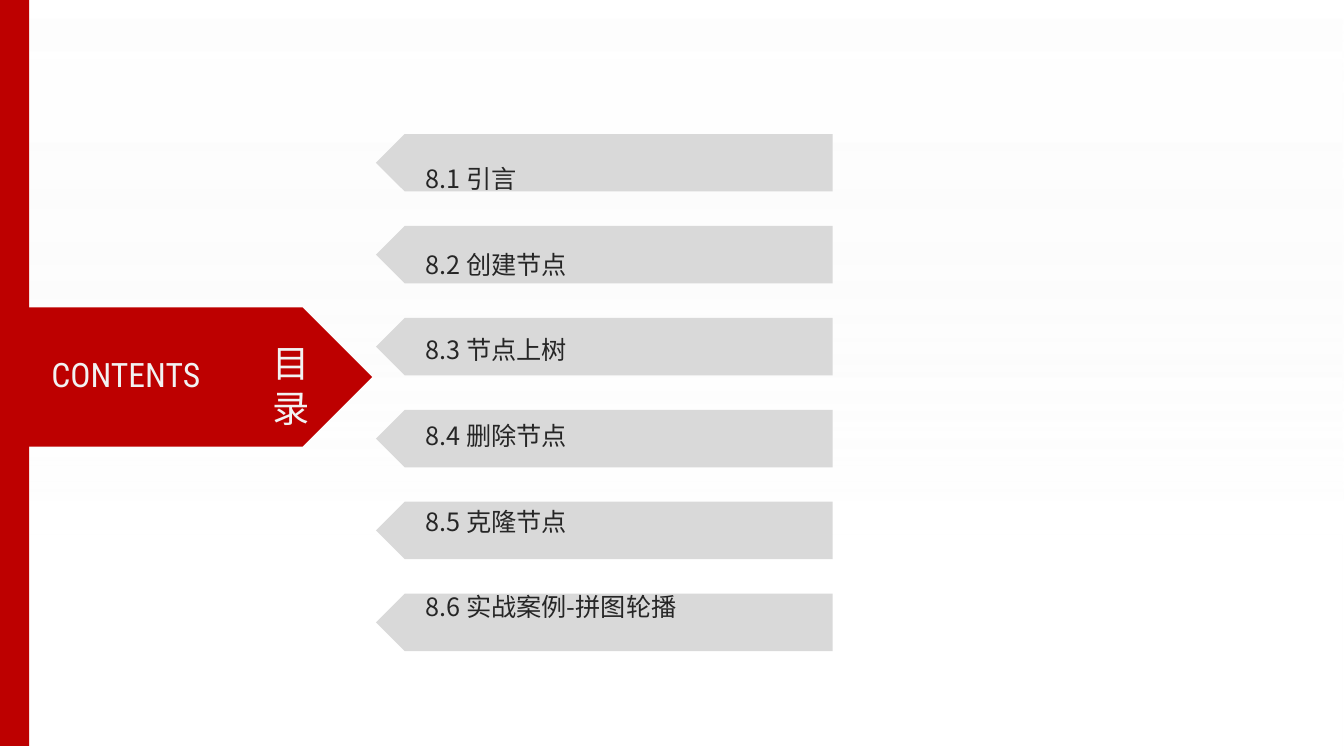
from dataclasses import dataclass

from lxml.etree import SubElement
from pptx import Presentation
from pptx.dml.color import RGBColor
from pptx.enum.shapes import MSO_SHAPE
from pptx.enum.text import MSO_ANCHOR, MSO_AUTO_SIZE, PP_ALIGN
from pptx.oxml.ns import qn
from pptx.shapes.autoshape import Shape
from pptx.slide import Slide
from pptx.text.text import TextFrame, _Paragraph
from pptx.util import Inches, Pt

COLORS = {"red": "BD0000", "bar": "D9D9D9", "pale": "F2F2F2",
          "ink": "262626", "white": "FFFFFF"}
CJK = "Noto Sans CJK SC"
LATIN = "Roboto Condensed"
TOPICS = ["8.1 引言", "8.2 创建节点", "8.3 节点上树",
          "8.4 删除节点", "8.5 克隆节点", "8.6 实战案例-拼图轮播"]
TOP, PITCH, HEIGHT = 1.33, 0.912, 0.57
LINE = 26.06  # natural line height of the 18 pt list, in points


@dataclass
class Box:
    left: float
    top: float
    width: float
    height: float

    def place(self) -> tuple:
        return tuple(map(Inches, (self.left, self.top, self.width, self.height)))


@dataclass
class Block:
    box: Box
    color: str
    kind: MSO_SHAPE = MSO_SHAPE.PENTAGON
    flip: bool = False


def draw(slide: Slide, block: Block) -> Shape:
    shape = slide.shapes.add_shape(block.kind, *block.box.place())
    shape.shadow.inherit = False
    shape.fill.solid()
    shape.fill.fore_color.rgb = RGBColor.from_string(COLORS[block.color])
    shape.line.fill.background()
    if block.flip:
        shape._element.spPr.xfrm.set("flipH", "1")
    return shape


def fade(shape: Shape) -> None:
    """Fill with a vertical gradient that turns transparent."""
    shape.fill.gradient()
    shape.fill.gradient_angle = 270
    stops = zip(shape.fill.gradient_stops,
                [("white", 0, 55000), ("pale", 0.71, 0)])
    for stop, (color, spot, alpha) in stops:
        stop.color.rgb = RGBColor.from_string(COLORS[color])
        stop.position = spot
        tint = stop._gs.find(qn("a:srgbClr"))
        SubElement(tint, qn("a:alpha")).set("val", str(alpha))


def setup(frame: TextFrame, side: float = 0) -> None:
    frame.auto_size = MSO_AUTO_SIZE.NONE
    frame.word_wrap = True
    frame.vertical_anchor = MSO_ANCHOR.MIDDLE
    frame.margin_left = frame.margin_right = Inches(side)
    frame.margin_top = frame.margin_bottom = 0


def write(para: _Paragraph, text: str, size: float, font: str, color: str) -> None:
    run = para.add_run()
    run.text = text
    run.font.size = Pt(size)
    run.font.name = font
    run.font.color.rgb = RGBColor.from_string(COLORS[color])
    SubElement(run.font._element, qn("a:ea")).set("typeface", font)


def move(shape: Shape, box: Box) -> None:
    """Place a placeholder and bring it to the front."""
    shape.left, shape.top, shape.width, shape.height = box.place()
    shape._element.getparent().append(shape._element)


def main() -> None:
    deck = Presentation()
    deck.slide_width, deck.slide_height = Inches(13.33), Inches(7.5)
    slide = deck.slides.add_slide(deck.slide_layouts[1])
    title, body = slide.placeholders

    fade(draw(slide, Block(Box(0, 0, 13.33, 7.5), "white", MSO_SHAPE.RECTANGLE)))
    for row in range(len(TOPICS)):
        bar = Box(3.73, TOP + row * PITCH, 4.53, HEIGHT)
        draw(slide, Block(bar, "bar", flip=True))
    draw(slide, Block(Box(0, 3.05, 3.69, 1.38), "red"))
    draw(slide, Block(Box(0, 0, 0.29, 7.4), "red", MSO_SHAPE.RECTANGLE))

    label = slide.shapes.add_textbox(*Box(0.51, 3.51, 1.8, 0.4).place())
    setup(label.text_frame)
    write(label.text_frame.paragraphs[0], "CONTENTS", 24, LATIN, "pale")

    move(title, Box(2.59, 3.28, 0.59, 1.08))
    setup(title.text_frame, 0.1)
    para = title.text_frame.paragraphs[0]
    para.alignment = PP_ALIGN.CENTER
    para.line_spacing = Pt(32)
    write(para, "目录", 26.6, CJK, "pale")

    span = (len(TOPICS) - 1) * PITCH + HEIGHT
    move(body, Box(4.22, TOP, 3.6, span))
    frame = body.text_frame
    setup(frame)
    for row, topic in enumerate(TOPICS):
        para = frame.add_paragraph() if row else frame.paragraphs[0]
        para.space_before = Pt(PITCH * 72 - LINE) if row else Pt(0)
        props = para._p.get_or_add_pPr()
        props.set("marL", "0")
        props.set("indent", "0")
        SubElement(props, qn("a:buNone"))
        write(para, topic, 18, CJK, "ink")

    deck.save("out.pptx")


if __name__ == "__main__":
    main()
